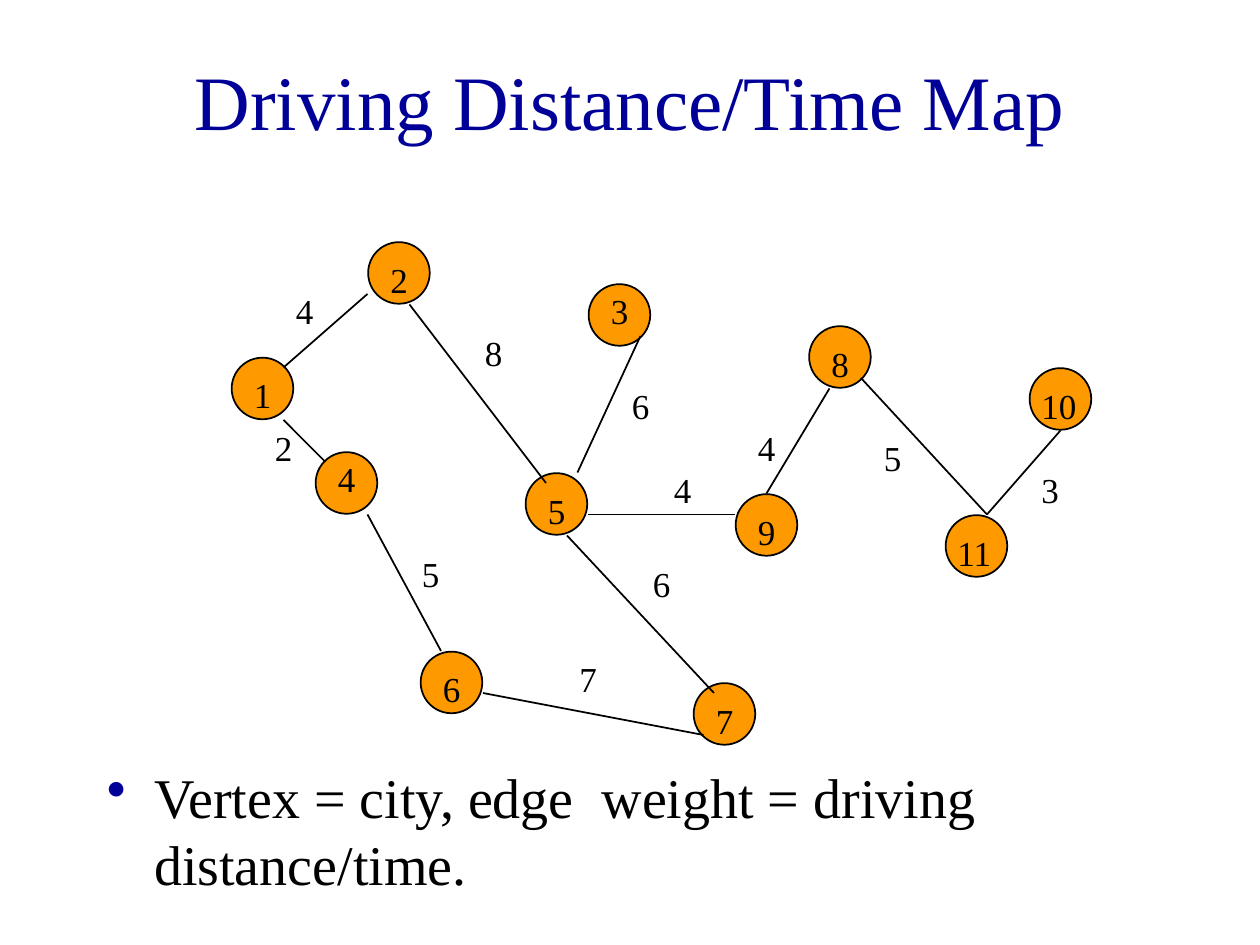
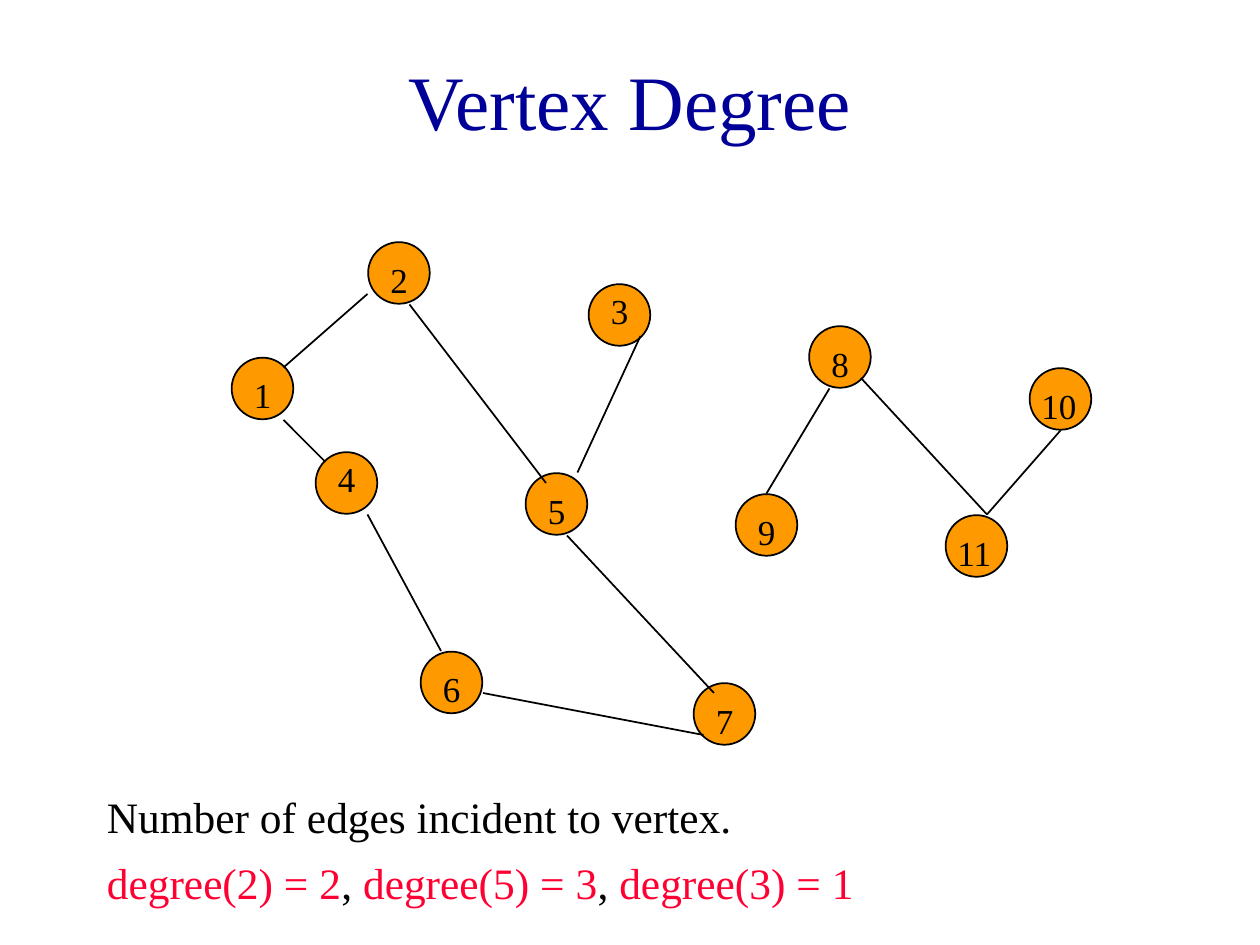
from lxml import etree
from pptx import Presentation
from pptx import util as u
from pptx.dml.color import RGBColor
from pptx.enum import shapes, text
from pptx.oxml import ns

BLACK, NAVY, ORANGE, RED = "000000", "000099", "FF9900", "FF0033"
FONT = "Times New Roman"

TITLE = {"size": 44, "color": NAVY, "frame": {"vertical_anchor": text.MSO_ANCHOR.MIDDLE},
         "paragraph": {"alignment": text.PP_ALIGN.CENTER}}
BODY = {"size": 32, "color": BLACK, "paragraph": {"space_before": u.Pt(8)}, "hanging": 27}
SMALL_BODY = {**BODY, "size": 24.8}
LABEL = {"size": 20, "color": BLACK, "paragraph": {"space_before": u.Pt(12.5)}}

# vertex number: left and top of its cell
VERTICES = {
    1: (132, 204), 2: (210, 138), 3: (336, 162), 4: (180, 258),
    5: (300, 270), 6: (240, 372), 7: (396, 390), 8: (462, 186),
    9: (420, 282), 10: (588, 210), 11: (540, 294),
}
CELL = 36
CELL_INSET = 0.4
HIGH_LABELS = (3, 4)

# start, end, weight, left and top of the weight
EDGES = [
    ((210, 168), (162, 210), 4, (162, 162)),
    ((234, 174), (312, 276), 8, (270, 186)),
    ((162, 240), (186, 264), 2, (150, 240)),
    ((210, 294), (252, 372), 5, (234, 312)),
    ((276, 396), (402, 420), 7, (324, 372)),
    ((366, 192), (330, 270), 6, (354, 216)),
    ((324, 306), (408, 396), 6, (366, 318)),
    ((474, 222), (438, 282), 4, (426, 240)),
    ((492, 216), (564, 294), 5, (498, 246)),
    ((564, 294), (606, 246), 3, (588, 264)),
]
LINKING_EDGE = ((336, 294), (420, 294), 4, (378, 264))


def color(hex_string):
    return RGBColor.from_string(hex_string)


def set_attributes(target, values):
    for name, value in values.items():
        setattr(target, name, value)


class Deck:
    """Holds the presentation, its style and the slide being filled."""

    def __init__(self):
        self.presentation = Presentation()
        set_attributes(self.presentation,
                       {"slide_width": u.Pt(720), "slide_height": u.Pt(540)})
        self.slide = None

    def add_slide(self, title):
        self.slide = self.presentation.slides.add_slide(self.presentation.slide_layouts[6])
        self.add_text((54, 12, 612, 90), [[(title, NAVY)]], TITLE)

    def add_text(self, box, paragraphs, style, bullet=None):
        """Each paragraph is a list of (words, colour) runs."""
        frame = self.slide.shapes.add_textbox(*map(u.Pt, box)).text_frame
        set_attributes(frame, {"word_wrap": True, **style.get("frame", {})})
        for index, runs in enumerate(paragraphs):
            paragraph = frame.add_paragraph() if index else frame.paragraphs[0]
            set_attributes(paragraph, style["paragraph"])
            if "hanging" in style:
                self.set_hanging(paragraph, style["hanging"], bullet)
            for words, hex_string in runs:
                run = paragraph.add_run()
                run.text = words
                set_attributes(run.font, {"name": FONT, "size": u.Pt(style["size"])})
                run.font.color.rgb = color(hex_string)

    def set_hanging(self, paragraph, indent, bullet):
        properties = paragraph._p.get_or_add_pPr()
        properties.set("marL", str(u.Pt(indent)))
        properties.set("indent", str(-u.Pt(indent)))
        if bullet:
            bullet_color = etree.SubElement(properties, ns.qn("a:buClr"))
            etree.SubElement(bullet_color, ns.qn("a:srgbClr"), val=NAVY)
            etree.SubElement(properties, ns.qn("a:buChar"), char=bullet)

    def add_circle(self, left, top, diameter):
        shape = self.slide.shapes.add_shape(
            shapes.MSO_SHAPE.OVAL, *map(u.Pt, (left, top, diameter, diameter)))
        shape.shadow.inherit = False
        shape.fill.solid()
        shape.fill.fore_color.rgb = color(ORANGE)
        self.set_outline(shape)

    def add_line(self, start, end):
        connector = self.slide.shapes.add_connector(
            shapes.MSO_CONNECTOR.STRAIGHT, *map(u.Pt, start + end))
        self.set_outline(connector)
        etree.SubElement(connector._element.spPr, ns.qn("a:effectLst"))

    def set_outline(self, shape):
        shape.line.color.rgb = color(BLACK)
        shape.line.width = u.Pt(1)

    def add_label(self, left, top, width, number):
        self.add_text((left, top, width, 31), [[(str(number), BLACK)]], LABEL)

    def add_graph(self, edges, weighted):
        for left, top in VERTICES.values():
            self.add_circle(left + CELL_INSET, top + CELL_INSET, CELL - 2 * CELL_INSET)
        for start, end, _, _ in edges:
            self.add_line(start, end)
        for number, (left, top) in VERTICES.items():
            shift = 6 if number < 10 else 0
            drop = 0 if number in HIGH_LABELS else 6
            self.add_label(left + shift, top + drop, CELL - 3 * shift, number)
        if weighted:
            for _, _, weight, (left, top) in edges:
                self.add_label(left, top, 24, weight)


def main():
    deck = Deck()

    deck.add_slide("Driving Distance/Time Map")
    deck.add_text((54, 432, 612, 90),
                  [[("Vertex = city, edge  weight = driving distance/time.", BLACK)]],
                  BODY, bullet="•")
    deck.add_graph(EDGES + [LINKING_EDGE], weighted=True)

    deck.add_slide("Vertex Degree")
    degrees = [("degree(2) = 2", RED), (", ", BLACK), ("degree(5) = 3", RED),
               (", ", BLACK), ("degree(3) = 1", RED)]
    deck.add_text((54, 448, 612, 74),
                  [[("Number of edges incident to vertex.", BLACK)], degrees], SMALL_BODY)
    deck.add_graph(EDGES, weighted=False)

    deck.presentation.save("out.pptx")


if __name__ == "__main__":
    main()
